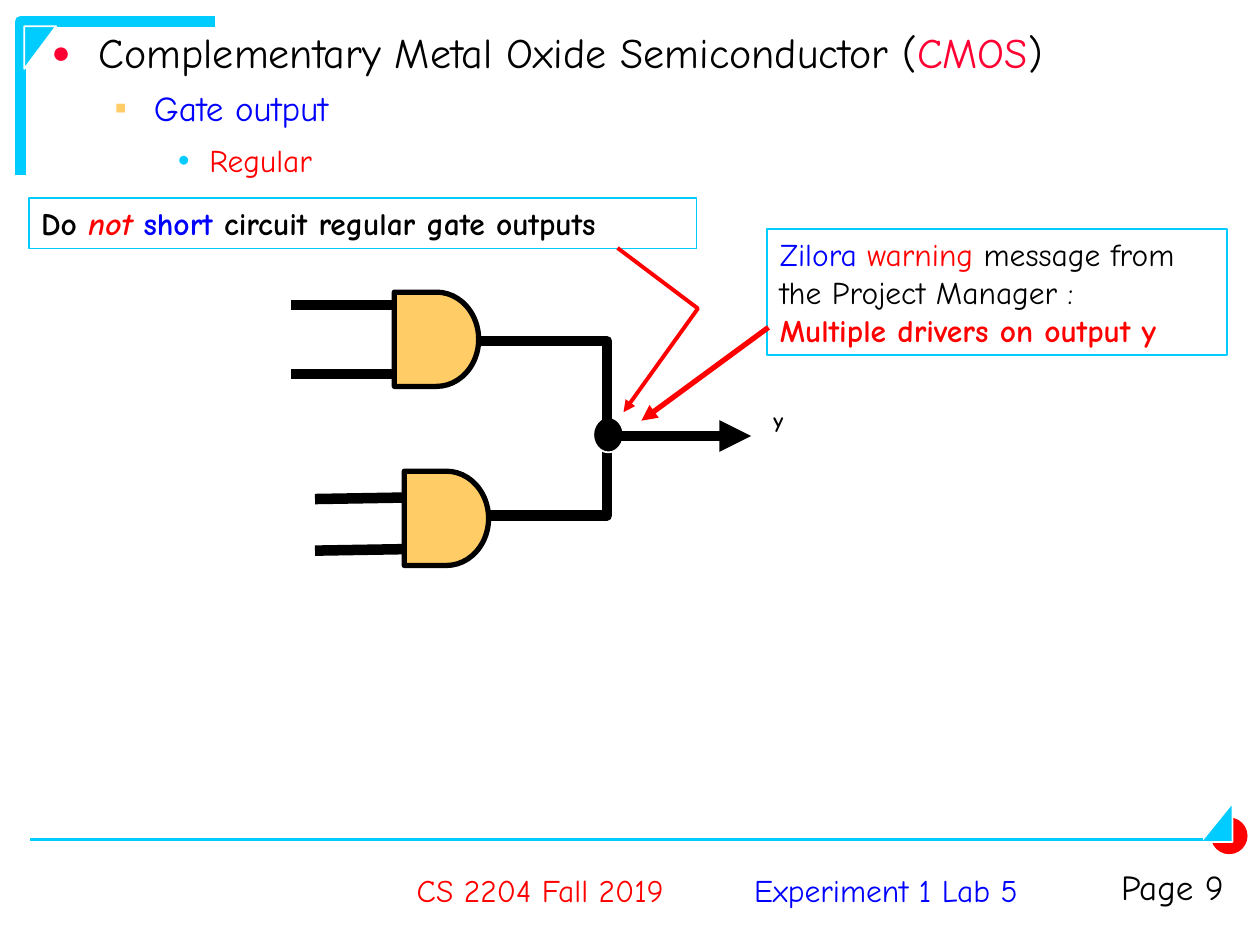
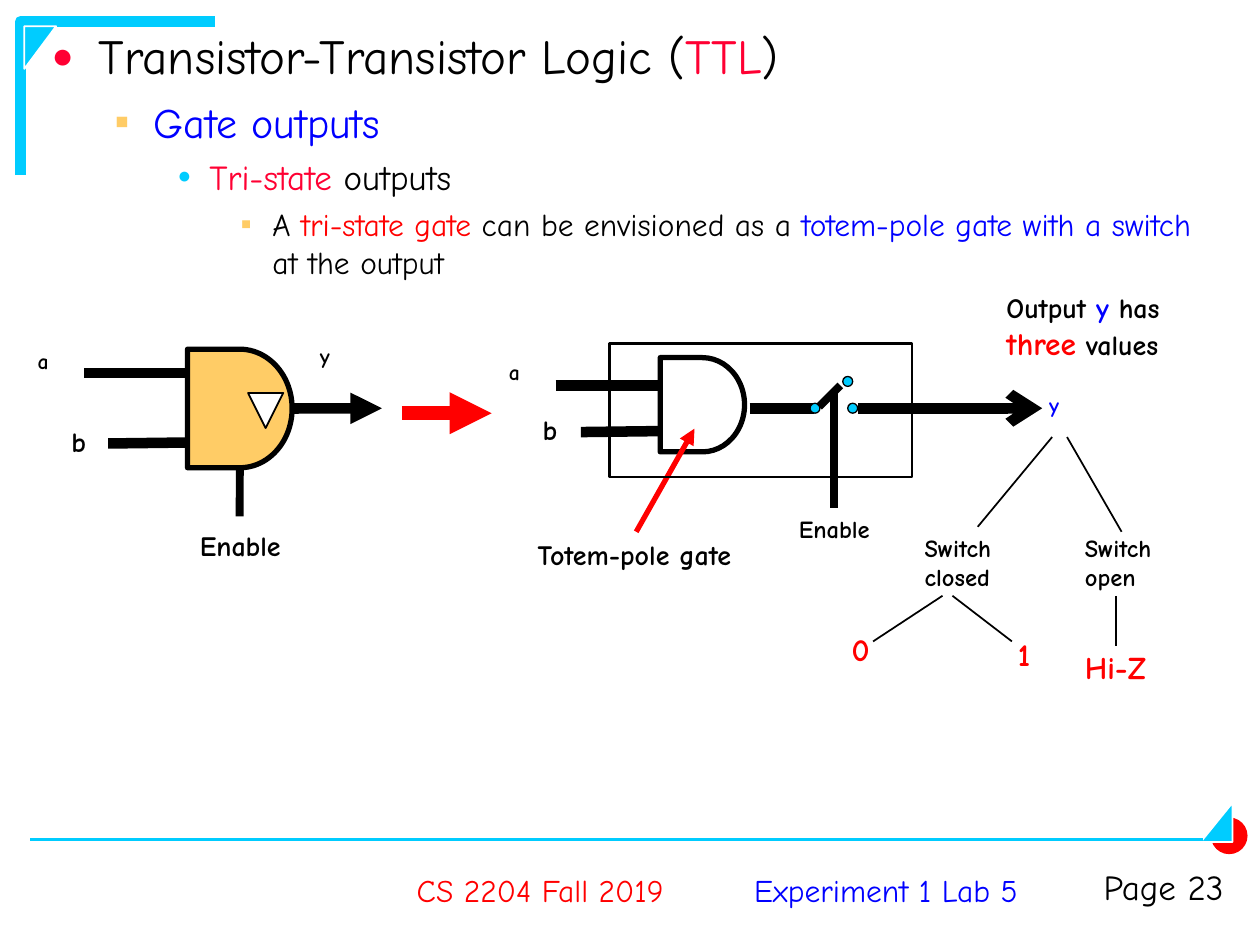
"""Build two slides on CMOS and TTL gate outputs."""
from dataclasses import dataclass
from typing import NamedTuple, Optional

from lxml import etree
from pptx import Presentation
from pptx import util as u
from pptx.dml.color import RGBColor
from pptx.enum import shapes, text
from pptx.oxml import ns

COLORS = {"ink": "000000", "paper": "FFFFFF", "sky": "00CCFF", "red": "FF0000",
          "crimson": "FF0033", "blue": "0000FF", "gold": "FFCC66"}
FONT = "Comic Neue"
GATE = shapes.MSO_SHAPE.FLOWCHART_DELAY
RECT = shapes.MSO_SHAPE.RECTANGLE
DOT = shapes.MSO_SHAPE.OVAL
CORNER = shapes.MSO_SHAPE.RIGHT_TRIANGLE
TOP, BOTTOM, RIGHT = 0, 2, 3
MIDDLE = text.MSO_ANCHOR.MIDDLE
CENTER, ALIGN_RIGHT = text.PP_ALIGN.CENTER, text.PP_ALIGN.RIGHT


class Run(NamedTuple):
    """A piece of text in one colour."""
    text: str
    color: str = "ink"
    size: Optional[float] = None
    italic: bool = False
    bold: Optional[bool] = None


class Bullet(NamedTuple):
    """The look of one list level, lengths in cm."""
    char: str
    color: str
    percent: int
    left: float
    hang: float
    spacing: float = 1.0


class Item(NamedTuple):
    """One list entry."""
    size: float
    before: float
    runs: list


class Joint(NamedTuple):
    """A connection site of a named shape."""
    name: str
    site: int


BULLETS = [Bullet("●", "crimson", 75, 0.95, 0.95, 0.9),
           Bullet("▪", "gold", 100, 2.06, 0.79),
           Bullet("●", "sky", 65, 3.18, 0.64),
           Bullet("▪", "gold", 100, 4.45, 0.64)]


def rgb(name: str) -> RGBColor:
    """Look up a palette colour."""
    return RGBColor.from_string(COLORS[name])


def apply(target, values: dict) -> None:
    """Set attributes from a dict of format values."""
    for key, value in values.items():
        setattr(target, key, value)


def child(parent, tag: str, **attrs: str):
    """Append a DrawingML element."""
    return etree.SubElement(parent, ns.qn(tag), attrs)


def set_line(line, color: str, width: float, tip: str = "") -> None:
    """Format a line and its arrowhead."""
    line.color.rgb = rgb(color)
    line.width = u.Pt(width)
    if tip:
        child(line._get_or_add_ln(), "a:tailEnd", type=tip)


def set_fill(sp, color: str) -> None:
    """Fill a shape, or leave it clear when no colour is named."""
    sp.shadow.inherit = False
    if color:
        sp.fill.solid()
        sp.fill.fore_color.rgb = rgb(color)
    else:
        sp.fill.background()


def write(p, runs: list, size: float, bold: bool = False) -> None:
    """Write coloured runs into a paragraph."""
    for run in runs:
        r = p.add_run()
        r.text = run.text
        apply(r.font, {"name": FONT, "size": u.Pt(run.size or size), "italic": run.italic,
                       "bold": bold if run.bold is None else run.bold})
        r.font.color.rgb = rgb(run.color)


@dataclass
class Block:
    """A preset shape."""
    kind: shapes.MSO_SHAPE
    x: float
    y: float
    w: float
    h: float
    fill: str = ""
    line: str = "ink"
    width: float = 3
    rotation: float = 0
    name: str = ""

    def draw(self, s, drawn: dict) -> None:
        """Add the shape to the slide."""
        sp = s.shapes.add_shape(self.kind, *map(u.Cm, (self.x, self.y, self.w, self.h)))
        sp.rotation = self.rotation
        set_fill(sp, self.fill)
        if self.line:
            set_line(sp.line, self.line, self.width)
        else:
            sp.line.fill.background()
        drawn[self.name] = sp


@dataclass
class Wire:
    """A straight line or arrow."""
    x1: float
    y1: float
    x2: float
    y2: float
    width: float = 6
    color: str = "ink"
    tip: str = ""
    begin: Optional[Joint] = None
    end: Optional[Joint] = None

    def draw(self, s, drawn: dict) -> None:
        """Add the connector and join its ends."""
        c = s.shapes.add_connector(shapes.MSO_CONNECTOR.STRAIGHT,
                                   *map(u.Cm, (self.x1, self.y1, self.x2, self.y2)))
        set_line(c.line, self.color, self.width, self.tip)
        child(c._element.spPr, "a:effectLst")
        if self.begin:
            c.begin_connect(drawn[self.begin.name], self.begin.site)
        if self.end:
            c.end_connect(drawn[self.end.name], self.end.site)


@dataclass
class Bend:
    """An open line through several points."""
    points: list
    width: float = 6
    color: str = "ink"
    tip: str = ""

    def draw(self, s, drawn: dict) -> None:
        """Add the outline to the slide."""
        start, *rest = [(u.Cm(x), u.Cm(y)) for x, y in self.points]
        fb = s.shapes.build_freeform(*start)
        fb.add_line_segments(rest, close=False)
        sp = fb.convert_to_shape()
        set_fill(sp, "")
        set_line(sp.line, self.color, self.width, self.tip)


@dataclass
class Label:
    """A text box, framed when a frame colour is named."""
    x: float
    y: float
    w: float
    h: float
    paragraphs: list
    size: float = 18
    bold: bool = True
    wrap: bool = True
    align: text.PP_ALIGN = text.PP_ALIGN.LEFT
    anchor: text.MSO_ANCHOR = text.MSO_ANCHOR.TOP
    spacing: float = 1.0
    frame: str = ""
    name: str = ""

    def draw(self, s, drawn: dict) -> None:
        """Add the text box to the slide."""
        sp = s.shapes.add_textbox(*map(u.Cm, (self.x, self.y, self.w, self.h)))
        tf = sp.text_frame
        apply(tf, {"word_wrap": self.wrap, "vertical_anchor": self.anchor})
        for i, runs in enumerate(self.paragraphs):
            p = tf.add_paragraph() if i else tf.paragraphs[0]
            apply(p, {"alignment": self.align, "line_spacing": self.spacing})
            write(p, runs, self.size, self.bold)
        if self.frame:
            set_line(sp.line, self.frame, 1)
        drawn[self.name] = sp


def pin(letter: str, x: float, y: float, color: str = "ink") -> Label:
    """Make a small signal name."""
    return Label(x, y, 1.02, 0.64, [[Run(letter, color)]], 12.4, spacing=0.7)


def pin_b(x: float, y: float) -> Label:
    """Make the larger name of input b."""
    return Label(x, y, 1.27, 0.84, [[Run("b")]], 16, spacing=0.8)


def contact(x: float, y: float) -> Block:
    """Make a switch contact."""
    return Block(DOT, x, y, 0.2, 0.2, "sky", width=0.75)


def branch(*ends: float) -> Wire:
    """Make a thin line of the value tree."""
    return Wire(*ends, width=1)


def value(word: str, x: float, y: float, w: float) -> Label:
    """Make a red output value."""
    return Label(x, y, w, 1.02, [[Run(word, "red")]], wrap=False)


def common(page: int) -> list:
    """List the decoration and footer of a page."""
    return [
        Bend([(0.41, 3.53), (0.41, 0.43), (4.34, 0.43)], 6, "sky"),
        Block(CORNER, 0.38, 0.64, 0.86, 0.64, "sky", "paper", 1, 90),
        Block(DOT, 24.41, 16.48, 0.74, 0.74, "red", ""),
        Block(CORNER, 24.13, 16.26, 0.79, 0.64, "sky", "paper", 1, 270),
        Bend([(24.84, 16.41), (24.84, 16.97), (24.46, 16.97)], 0.75, "paper"),
        Wire(0.61, 16.92, 24.26, 16.92, 1.5, "sky"),
        Label(14.61, 17.12, 6.5, 1.63, [[Run("Experiment 1 Lab 5", "blue")]], 18, False,
              False, CENTER, MIDDLE),
        Label(7.59, 17.12, 6.6, 1.63, [[Run("CS 2204 Fall 2019", "red")]], 18, False,
              False, CENTER, MIDDLE),
        Label(21.21, 17.32, 3.71, 1.42, [[Run(f"Page {page}")]], 20, False,
              align=ALIGN_RIGHT),
    ]


def fill_list(body, items: list) -> None:
    """Place the body placeholder and write one item per level."""
    apply(body, dict(zip(("left", "top", "width", "height"),
                         map(u.Cm, (0.53, 0.53, 24.33, 16.41)))))
    tf = body.text_frame
    apply(tf, {"margin_left": u.Cm(0.51), "margin_right": u.Cm(0.51), "word_wrap": True,
               "auto_size": text.MSO_AUTO_SIZE.NONE, "vertical_anchor": text.MSO_ANCHOR.TOP})
    for level, (item, look) in enumerate(zip(items, BULLETS)):
        p = tf.add_paragraph() if level else tf.paragraphs[0]
        pPr = p._p.get_or_add_pPr()
        pPr.set("marL", str(u.Cm(look.left)))
        pPr.set("indent", str(-u.Cm(look.hang)))
        child(child(pPr, "a:buClr"), "a:srgbClr", val=COLORS[look.color])
        child(pPr, "a:buSzPct", val=str(look.percent * 1000))
        child(pPr, "a:buChar", char=look.char)
        apply(p, {"level": level, "line_spacing": look.spacing,
                  "space_before": u.Pt(item.before), "space_after": u.Pt(0)})
        write(p, item.runs, item.size)


def add_page(prs, page: int, items: list, drawing: list) -> None:
    """Add one slide with its list and drawing."""
    s = prs.slides.add_slide(prs.slide_layouts[1])
    title = s.shapes.title._element
    title.getparent().remove(title)
    fill_list(s.placeholders[1], items)
    drawn: dict = {}
    for part in common(page) + drawing:
        part.draw(s, drawn)


CMOS_LIST = [
    Item(24, 0, [Run("Complementary Metal Oxide Semiconductor ("), Run("CMOS", "crimson"), Run(")")]),
    Item(20, 5, [Run("Gate output", "blue")]),
    Item(18, 7, [Run("Regular", "red")]),
]
CMOS_DRAWING = [
    Block(GATE, 8.15, 9.5, 1.7, 1.9, "gold"),
    Wire(6.35, 10.06, 8.15, 10.03), Wire(6.35, 11.1, 8.15, 11.07),
    Wire(5.87, 6.15, 7.95, 6.15), Wire(5.87, 7.54, 7.95, 7.54),
    Bend([(9.86, 10.39), (12.24, 10.39), (12.24, 8.61)]),
    Block(DOT, 11.96, 8.41, 0.61, 0.71, "ink", "paper", 1),
    Bend([(9.65, 6.88), (12.24, 6.88), (12.24, 8.99)]),
    Wire(12.45, 8.79, 15.14, 8.79, tip="triangle"),
    Block(GATE, 7.95, 5.89, 1.7, 1.9, "gold"),
    Label(15.47, 4.62, 9.27, 2.54, [
        [Run("Zilora ", "blue"), Run("warning", "red"), Run(" message from")],
        [Run("the Project Manager :")],
        [Run("Multiple drivers on output y", "red", bold=True)]], bold=False, frame="sky"),
    Wire(15.49, 6.6, 12.93, 8.48, 3, "red", "triangle"),
    Label(0.58, 3.99, 13.46, 1.02, [[
        Run("Do "), Run("not ", "red", italic=True), Run("short ", "blue"),
        Run("circuit regular gate outputs")]], frame="sky"),
    Bend([(12.45, 5), (14.07, 6.22), (12.57, 8.31)], 2.25, "red", "triangle"),
    pin("y", 15.34, 8.23),
]
TTL_LIST = [
    Item(28, 0, [Run("Transistor-Transistor Logic ("), Run("TTL", "crimson"), Run(")")]),
    Item(24, 6, [Run("Gate outputs", "blue")]),
    Item(20, 5, [Run("Tri-state", "crimson"), Run(" outputs")]),
    Item(18, 4.5, [Run("A "), Run("tri-state gate", "red"), Run(" can be envisioned as a "),
                   Run("totem-pole gate with a switch", "blue"), Run(" at the output")]),
]
TTL_DRAWING = [
    Block(GATE, 3.78, 7.04, 2.11, 2.39, "gold", name="tri-state"),
    Wire(2.18, 8.94, 3.81, 8.92), Wire(1.7, 7.52, 3.81, 7.52),
    pin("a", 0.51, 7.04), pin_b(1.19, 8.56), pin("y", 6.2, 6.93),
    Wire(5.89, 8.23, 7.7, 8.23, tip="triangle", begin=Joint("tri-state", RIGHT)),
    Block(shapes.MSO_SHAPE.ISOSCELES_TRIANGLE, 5, 7.92, 0.71, 0.71, "paper", width=1, rotation=180),
    Wire(4.83, 9.43, 4.83, 10.41, 4.5, begin=Joint("tri-state", BOTTOM)),
    Label(3.78, 10.54, 2.13, 0.94, [[Run("Enable")]], 16, wrap=False),
    Label(15.55, 10.24, 2.54, 0.86, [[Run("Enable")]], 14, wrap=False, align=CENTER, name="enable"),
    Label(10.59, 10.72, 4.47, 0.94, [[Run("Totem-pole gate")]], 16, wrap=False, name="totem-pole"),
    pin("y", 20.9, 7.92, "blue"),
    Block(GATE, 13.31, 7.21, 1.7, 1.9),
    Wire(12.83, 10.72, 14, 8.64, 3, "red", "triangle", begin=Joint("totem-pole", TOP)),
    Wire(11.71, 8.71, 13.31, 8.69), Wire(11.2, 7.77, 13.31, 7.77),
    pin("a", 10.01, 7.26), pin_b(10.69, 8.33),
    Block(RECT, 12.29, 6.93, 6.1, 2.69, width=1.5),
    Wire(15.11, 8.23, 16.41, 8.23), Wire(17.3, 8.23, 21.01, 8.23, tip="arrow"),
    Wire(16.82, 7.9, 16.82, 10.24, 4.5, end=Joint("enable", TOP)),
    contact(16.33, 8.13), contact(17.09, 8.13),
    Wire(16.51, 8.2, 16.94, 7.77, 4.5),
    contact(16.99, 7.59),
    Wire(8.1, 8.33, 9.91, 8.33, 8, "red", "triangle"),
    branch(21.21, 8.81, 19.71, 10.62), branch(21.51, 8.81, 22.61, 10.72),
    branch(19, 12.01, 17.6, 12.93), branch(19.2, 12.01, 20.4, 12.93),
    branch(22.5, 12.01, 22.5, 13.03),
    Label(18.39, 10.62, 2.39, 1.45, [[Run("Switch closed")]], 14),
    Label(21.62, 10.62, 2.39, 1.45, [[Run("Switch open")]], 14),
    value("0", 16.92, 12.57, 0.86), value("1", 20.27, 12.67, 0.76),
    Label(21.62, 12.93, 2.29, 1.02, [[Run("Hi-Z", "red")]]),
    Label(20.04, 5.74, 4.27, 1.7, [[Run("Output "), Run("y", "blue"), Run(" has "),
                                    Run("three", "red", 18), Run(" values")]], 16),
]


def main() -> None:
    """Build and save the presentation."""
    prs = Presentation()
    apply(prs, {"slide_width": u.Cm(25.4), "slide_height": u.Cm(19.05)})
    add_page(prs, 9, CMOS_LIST, CMOS_DRAWING)
    add_page(prs, 23, TTL_LIST, TTL_DRAWING)
    prs.save("out.pptx")


if __name__ == "__main__":
    main()
